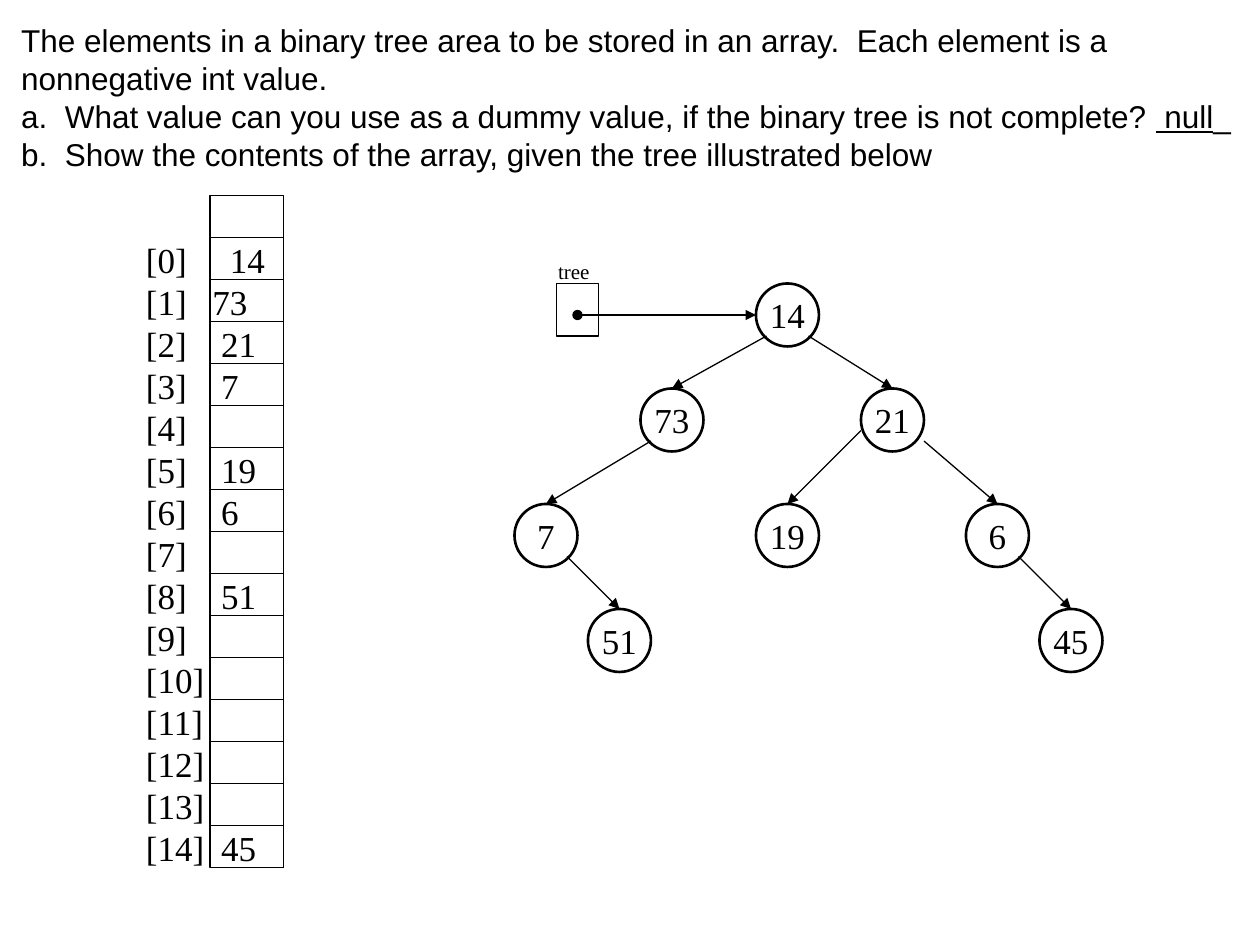
from lxml import etree
from pptx import Presentation
from pptx.dml.color import RGBColor
from pptx.enum.shapes import MSO_AUTO_SHAPE_TYPE as Shape, MSO_CONNECTOR_TYPE as Connector
from pptx.enum.text import MSO_ANCHOR as Anchor, PP_ALIGN as Align
from pptx.oxml.ns import qn
from pptx.util import Pt

BLACK = RGBColor(0, 0, 0)
SANS, SERIF = "Arial", "Times New Roman"
NODE_SIZE = 36
LEFT_EXIT, RIGHT_EXIT = (6, 30), (30, 30)

# Node value: left and top of its circle
NODES = {
    14: (432, 162), 73: (366, 222), 21: (492, 222), 7: (294, 288),
    51: (336, 348), 19: (432, 288), 6: (552, 288), 45: (594, 348),
}
# Parent, child, where the arrow leaves the parent
EDGES = [
    (14, 73, LEFT_EXIT), (14, 21, RIGHT_EXIT), (73, 7, LEFT_EXIT),
    (21, 19, (0, 24)), (7, 51, RIGHT_EXIT), (21, 6, (36, 30)),
    (6, 45, RIGHT_EXIT),
]

ARRAY_LEFT, ARRAY_TOP, ARRAY_WIDTH = 120, 111.6, 42
ROW_HEIGHT, ROW_COUNT = 24, 16
ARRAY_VALUES = {0: 14, 1: 73, 2: 21, 3: 7, 5: 19, 6: 6, 8: 51, 14: 45}
VALUE_TABS = {0: 48, 1: 38}
DEFAULT_TAB = 43


def format_paragraph(paragraph, font_name, size, line_spacing=None):
    if line_spacing:
        paragraph.line_spacing = Pt(line_spacing)
    for run in paragraph.runs:
        run.font.name = font_name
        run.font.size = Pt(size)
        run.font.color.rgb = BLACK


def add_text_box(shapes, left, top, width, height, wrap=False):
    box = shapes.add_textbox(Pt(left), Pt(top), Pt(width), Pt(height))
    box.text_frame.word_wrap = wrap
    return box.text_frame


def add_outline(shapes, kind, left, top, width, height, line_width=0.75):
    shape = shapes.add_shape(kind, Pt(left), Pt(top), Pt(width), Pt(height))
    shape.shadow.inherit = False
    shape.fill.background()
    shape.line.color.rgb = BLACK
    shape.line.width = Pt(line_width)
    return shape


def add_line(shapes, start, end, head=None, tail=None):
    points = [Pt(value) for value in (*start, *end)]
    line = shapes.add_connector(Connector.STRAIGHT, *points)
    line.line.color.rgb = BLACK
    line.line.width = Pt(0.75)
    outline = line.line._get_or_add_ln()
    for tag, kind in (("a:headEnd", head), ("a:tailEnd", tail)):
        if kind:
            etree.SubElement(outline, qn(tag), type=kind)
    etree.SubElement(line._element.spPr, qn("a:effectLst"))


def set_indent(paragraph, margin, hanging):
    properties = paragraph._p.get_or_add_pPr()
    properties.set("marL", str(Pt(margin)))
    properties.set("indent", str(-Pt(hanging)))
    return properties


def add_question(shapes):
    text_frame = add_text_box(shapes, 5, 8.6, 712, 94.3)
    text_frame.text = "\n".join([
        "The elements in a binary tree area to be stored in an array.  Each element is a",
        "nonnegative int value.",
        "a.  What value can you use as a dummy value, if the binary tree is not complete? ",
        "b.  Show the contents of the array, given the tree illustrated below",
    ])
    first, second, dummy_value, _ = text_frame.paragraphs
    answer = dummy_value.add_run()
    answer.text = " null"
    answer.font.underline = True
    dummy_value.add_run().text = "_"
    second.level = 1
    for paragraph in text_frame.paragraphs:
        format_paragraph(paragraph, SANS, 18, 21.6)
        properties = set_indent(paragraph, 99 if paragraph is second else 27, 27)
        if paragraph is first:
            etree.SubElement(properties, qn("a:buFont"), typeface=SANS)
            etree.SubElement(properties, qn("a:buAutoNum"), type="arabicPeriod", startAt="3")
        else:
            etree.SubElement(properties, qn("a:buNone"))


def add_node(shapes, value, left, top):
    node = add_outline(shapes, Shape.OVAL, left, top, NODE_SIZE, NODE_SIZE, 1.5)
    text_frame = node.text_frame
    text_frame.text = str(value)
    text_frame.word_wrap = False
    text_frame.vertical_anchor = Anchor.MIDDLE
    paragraph = text_frame.paragraphs[0]
    paragraph.alignment = Align.CENTER
    format_paragraph(paragraph, SERIF, 20)


def add_tree(shapes):
    for value, (left, top) in NODES.items():
        add_node(shapes, value, left, top)
    for parent, child, (exit_x, exit_y) in EDGES:
        parent_left, parent_top = NODES[parent]
        child_left, child_top = NODES[child]
        add_line(shapes, (parent_left + exit_x, parent_top + exit_y),
                 (child_left + NODE_SIZE / 2, child_top), tail="triangle")

    # Reference variable pointing at the root
    add_outline(shapes, Shape.RECTANGLE, 318, 162, 24, 30)
    add_line(shapes, (330, 180), (432, 180), head="oval", tail="triangle")
    text_frame = add_text_box(shapes, 311.8, 144, 32.4, 21.6)
    text_frame.text = "tree"
    format_paragraph(text_frame.paragraphs[0], SERIF, 12)


def add_array(shapes):
    add_outline(shapes, Shape.RECTANGLE, ARRAY_LEFT, ARRAY_TOP,
                ARRAY_WIDTH, ROW_HEIGHT * ROW_COUNT)

    # Indexes and values
    text_frame = add_text_box(shapes, 76.3, 132.5, 132.5, 370.8, wrap=True)
    text_frame.text = "\n".join(
        f"[{index}]\t{ARRAY_VALUES[index]}" if index in ARRAY_VALUES else f"[{index}]"
        for index in range(ROW_COUNT - 1))
    for index, paragraph in enumerate(text_frame.paragraphs):
        format_paragraph(paragraph, SERIF, 20, 24)
        if index in ARRAY_VALUES:
            tabs = etree.SubElement(paragraph._p.get_or_add_pPr(), qn("a:tabLst"))
            position = Pt(VALUE_TABS.get(index, DEFAULT_TAB))
            etree.SubElement(tabs, qn("a:tab"), pos=str(position), algn="l")

    # Row dividers
    for row in range(1, ROW_COUNT + 1):
        y = ARRAY_TOP + row * ROW_HEIGHT
        add_line(shapes, (ARRAY_LEFT, y), (ARRAY_LEFT + ARRAY_WIDTH, y))


def main():
    presentation = Presentation()
    presentation.slide_width, presentation.slide_height = Pt(720), Pt(540)
    slide = presentation.slides.add_slide(presentation.slide_layouts[6])
    add_question(slide.shapes)
    add_tree(slide.shapes)
    add_array(slide.shapes.add_group_shape().shapes)
    presentation.save("out.pptx")


if __name__ == "__main__":
    main()
